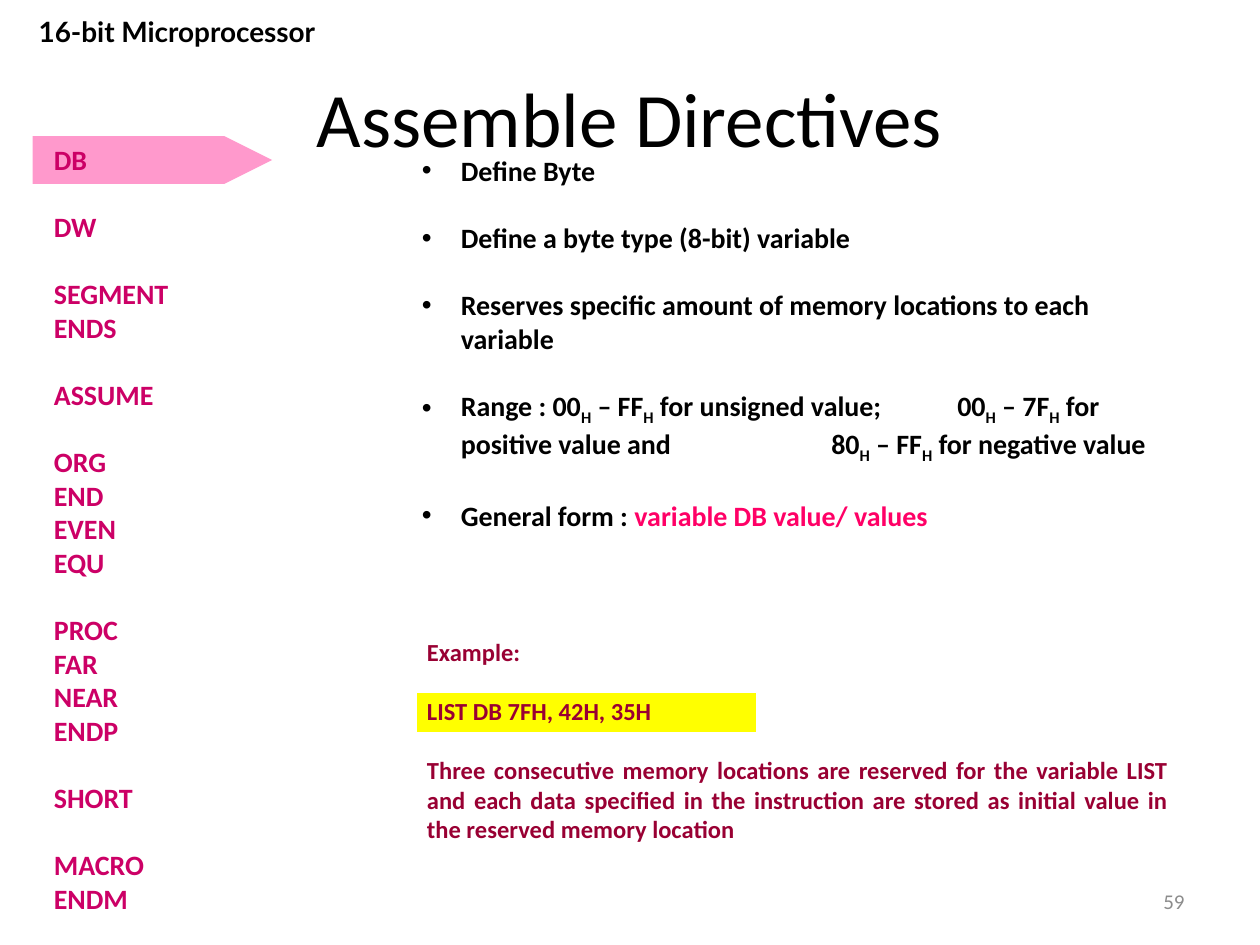
from lxml.etree import SubElement
from pptx import Presentation
from pptx.dml.color import RGBColor
from pptx.enum.shapes import MSO_SHAPE
from pptx.enum.text import MSO_ANCHOR, PP_ALIGN
from pptx.oxml.ns import qn
from pptx.util import Inches, Pt

BLACK = RGBColor(0, 0, 0)
GRAY = RGBColor(0x8C, 0x8C, 0x8C)
MAGENTA = RGBColor(0xCC, 0x00, 0x66)
HOT_PINK = RGBColor(0xFF, 0x00, 0x66)
MAROON = RGBColor(0x99, 0x00, 0x33)
PINK = RGBColor(0xFF, 0x99, 0xCC)
YELLOW = RGBColor(0xFF, 0xFF, 0x00)

LINE_SPACING = 1.2  # height of a line as a multiple of its text size
INDENT = 0.31
TAB_STOPS = (3.25, 4.25)

# Each group is set off by one line of space.
DIRECTIVES = [
    ["DB"], ["DW"], ["SEGMENT", "ENDS"], ["ASSUME"],
    ["ORG", "END", "EVEN", "EQU"], ["PROC", "FAR", "NEAR", "ENDP"],
    ["SHORT"], ["MACRO", "ENDM"],
]
# A bullet is a list of (text, style) spans.
BULLETS = [
    [("Define Byte", "")],
    [("Define a byte type (8-bit) variable", "")],
    [("Reserves specific amount of memory locations to each variable", "")],
    [("Range : 00", ""), ("H", "sub"), (" – FF", ""), ("H", "sub"),
     (" for unsigned value;\t00", ""), ("H", "sub"), (" – 7F", ""), ("H", "sub"),
     (" for positive value and\t80", ""), ("H", "sub"), (" – FF", ""), ("H", "sub"),
     (" for negative value", "")],
    [("General form : ", ""), ("variable DB value/ values", "accent")],
]
EXAMPLE = [
    "Example:",
    "LIST DB 7FH, 42H, 35H",
    "Three consecutive memory locations are reserved for the variable LIST and "
    "each data specified in the instruction are stored as initial value in the "
    "reserved memory location",
]


def add_block(page, area, paragraphs, size, color, bold=True, name="Calibri",
              align=PP_ALIGN.LEFT, anchor=MSO_ANCHOR.TOP, bulleted=False):
    """Add a text box; paragraphs are (spans, starts_group) pairs."""
    frame = page.shapes.add_textbox(*map(Inches, area)).text_frame
    frame.word_wrap = True
    frame.vertical_anchor = anchor
    for index, (spans, starts_group) in enumerate(paragraphs):
        para = frame.add_paragraph() if index else frame.paragraphs[0]
        para.alignment = align
        if index and starts_group:
            para.space_before = Pt(size * LINE_SPACING)
        if bulleted:
            add_bullet(para)
        para.font.size, para.font.bold, para.font.name = Pt(size), bold, name
        para.font.color.rgb = color
        for text, style in spans:
            span = para.add_run()
            span.text = text
            if style == "sub":
                span._r.get_or_add_rPr().set("baseline", "-25000")
            elif style == "accent":
                span.font.color.rgb = HOT_PINK


def add_bullet(para):
    properties = para._p.get_or_add_pPr()
    properties.set("marL", str(Inches(INDENT)))
    properties.set("indent", str(-Inches(INDENT)))
    SubElement(properties, qn("a:buFont"), typeface="Arial")
    SubElement(properties, qn("a:buChar"), char="•")
    tabs = SubElement(properties, qn("a:tabLst"))
    for stop in TAB_STOPS:
        SubElement(tabs, qn("a:tab"), pos=str(Inches(stop)), algn="l")


def add_highlight(page, kind, area, color, rotation=0):
    shape = page.shapes.add_shape(kind, *map(Inches, area))
    shape.rotation = rotation
    shape.shadow.inherit = False
    shape.fill.solid()
    shape.fill.fore_color.rgb = color
    shape.line.fill.background()


def plain(text, starts_group=True):
    return [(text, "")], starts_group


def main():
    deck = Presentation()
    deck.slide_width, deck.slide_height = Inches(10), Inches(7.5)
    page = deck.slides.add_slide(deck.slide_layouts[6])

    add_highlight(page, MSO_SHAPE.RECTANGLE, (3.31, 5.5, 2.69, 0.31), YELLOW)
    add_highlight(page, MSO_SHAPE.FLOWCHART_OFFPAGE_CONNECTOR,
                  (1.02, 0.32, 0.38, 1.9), PINK, rotation=270)

    add_block(page, (0.5, 0.3, 9, 1.25), [plain("Assemble Directives")], 44, BLACK,
              bold=False, align=PP_ALIGN.CENTER, anchor=MSO_ANCHOR.MIDDLE)
    add_block(page, (7.17, 6.95, 2.33, 0.4), [plain("59")], 12, GRAY,
              bold=False, align=PP_ALIGN.RIGHT, anchor=MSO_ANCHOR.MIDDLE)
    add_block(page, (0.07, 0.07, 2.67, 0.64), [plain("16-bit Microprocessor")], 16,
              BLACK, name="Lato", align=PP_ALIGN.CENTER)
    add_block(page, (3.25, 1.17, 6.17, 3.6), [(spans, True) for spans in BULLETS],
              16, BLACK, bulleted=True)
    add_block(page, (3.29, 5.01, 6.08, 1.99), [plain(text) for text in EXAMPLE],
              14, MAROON, align=PP_ALIGN.JUSTIFY)
    add_block(page, (0.33, 1.08, 1.63, 6.29),
              [plain(word, position == 0) for group in DIRECTIVES
               for position, word in enumerate(group)], 16, MAGENTA)

    deck.save("out.pptx")


if __name__ == "__main__":
    main()
